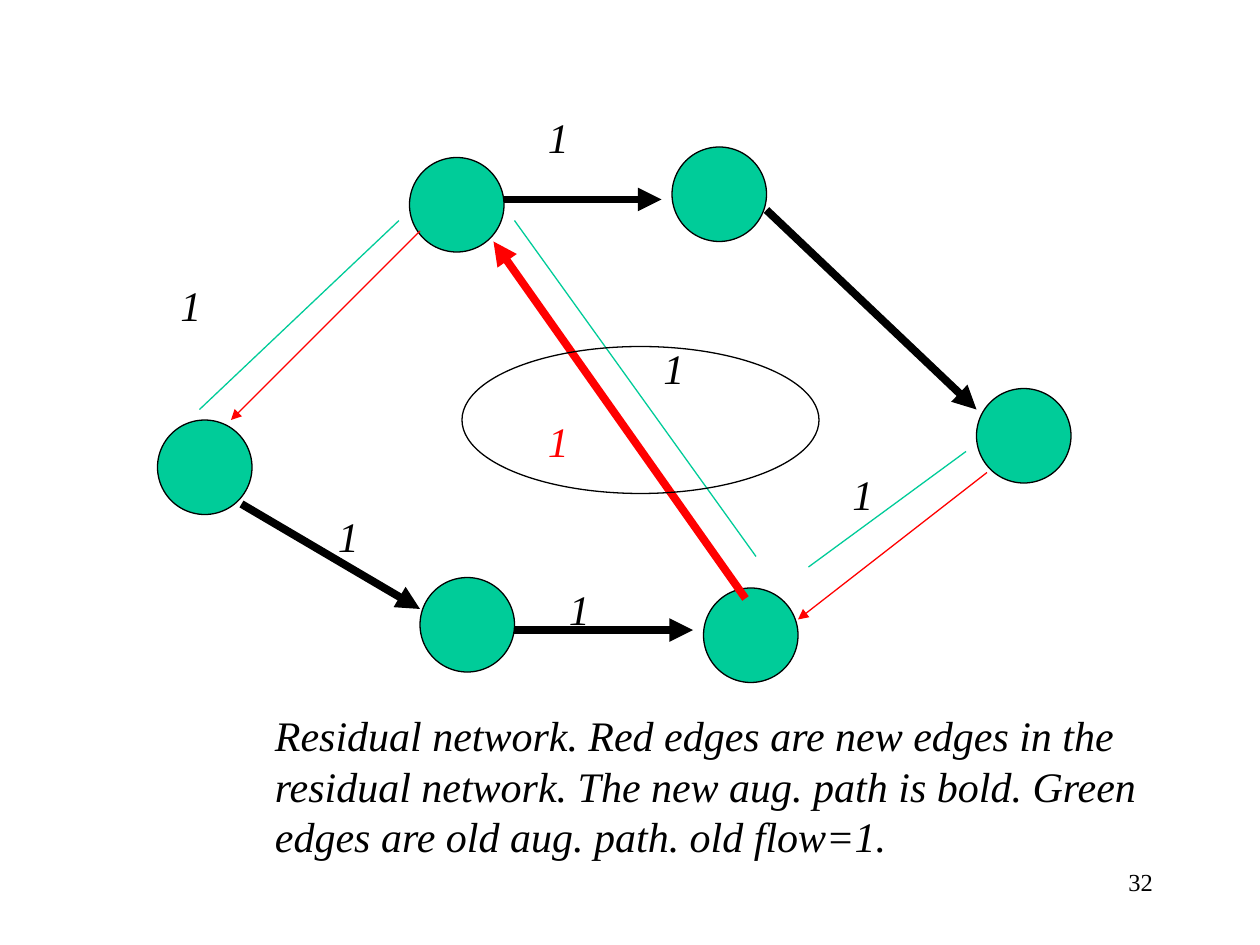
from lxml.etree import SubElement
from pptx import Presentation
from pptx.dml.color import RGBColor
from pptx.enum.shapes import MSO_CONNECTOR, MSO_SHAPE
from pptx.enum.text import MSO_AUTO_SIZE, PP_ALIGN
from pptx.oxml.ns import qn
from pptx.util import Emu, Pt

PX = 9525
BLACK, RED, GREEN = "000000", "FF0000", "00CC99"
FONT = "Times New Roman"
THIN, BOLD = 1, 6
NODE_SIZE = 72

NODES = [(0, 240), (200, 360), (192, 40), (624, 216), (416, 368), (392, 32)]
# start, end, colour, width, has arrowhead
EDGES = [
    ((64, 304), (200, 384), BLACK, BOLD, True),
    ((264, 72), (384, 72), BLACK, BOLD, True),
    ((272, 400), (408, 400), BLACK, BOLD, True),
    ((464, 80), (624, 232), BLACK, BOLD, True),
    ((200, 96), (56, 240), RED, THIN, True),
    ((448, 376), (256, 104), RED, BOLD, True),
    ((632, 280), (488, 392), RED, THIN, True),
    ((32, 232), (184, 88), GREEN, THIN, False),
    ((272, 88), (456, 344), GREEN, THIN, False),
    ((496, 352), (616, 264), GREEN, THIN, False),
]
# left, top, width, colour
CAPACITIES = [
    (8, 128, 56, BLACK),
    (376, 176, 56, BLACK),
    (520, 272, 64, BLACK),
    (128, 304, 40, BLACK),
    (304, 360, 48, BLACK),
    (288, 232, 64, RED),
    (288, 0, 80, BLACK),
]
CAPTION = (
    "Residual network. Red edges are new edges in the residual network. "
    "The new aug. path is bold. Green edges are old aug. path. old flow=1."
)


def px(length):
    return Emu(length * PX)


def color(hex_string):
    return RGBColor.from_string(hex_string)


def add_ellipse(slide, left, top, width, height, fill=None):
    shape = slide.shapes.add_shape(
        MSO_SHAPE.OVAL, px(left), px(top), px(width), px(height))
    shape.shadow.inherit = False
    if fill:
        shape.fill.solid()
        shape.fill.fore_color.rgb = color(fill)
    else:
        shape.fill.background()
    shape.line.color.rgb = color(BLACK)
    shape.line.width = px(THIN)


def add_edge(slide, start, end, line_color, width, arrow):
    connector = slide.shapes.add_connector(
        MSO_CONNECTOR.STRAIGHT, *(px(value) for value in start + end))
    connector.line.color.rgb = color(line_color)
    connector.line.width = px(width)
    if arrow:
        SubElement(connector.line._get_or_add_ln(), qn("a:tailEnd"), type="triangle")
    SubElement(connector._element.spPr, qn("a:effectLst"))


def add_text(slide, box, text, size=24, italic=True, text_color=BLACK,
             alignment=PP_ALIGN.LEFT, auto_size=MSO_AUTO_SIZE.SHAPE_TO_FIT_TEXT):
    frame = slide.shapes.add_textbox(*(px(value) for value in box)).text_frame
    frame.word_wrap = True
    frame.auto_size = auto_size
    paragraph = frame.paragraphs[0]
    paragraph.alignment = alignment
    run = paragraph.add_run()
    run.text = text
    run.font.name = FONT
    run.font.size = Pt(size)
    run.font.italic = italic
    run.font.color.rgb = color(text_color)


def add_network(slide, left, top):
    """Place the graph with its edges, capacities and highlighted region."""
    for x, y in NODES:
        add_ellipse(slide, left + x, top + y, NODE_SIZE, NODE_SIZE, GREEN)
    for (x1, y1), (x2, y2), line_color, width, arrow in EDGES:
        add_edge(slide, (left + x1, top + y1), (left + x2, top + y2),
                 line_color, width, arrow)
    for x, y, width, text_color in CAPACITIES:
        add_text(slide, (left + x, top + y, width, 48), "1", text_color=text_color)
    add_ellipse(slide, left + 232, top + 184, 272, 112)


def add_slide_number(slide, box, number):
    add_text(slide, box, number, size=14, italic=False,
             alignment=PP_ALIGN.RIGHT, auto_size=MSO_AUTO_SIZE.NONE)


def main():
    presentation = Presentation()
    presentation.slide_width = px(960)
    presentation.slide_height = px(720)
    slide = presentation.slides.add_slide(presentation.slide_layouts[6])
    add_network(slide, 120, 80)
    add_text(slide, (200, 536, 704, 125), CAPTION)
    add_slide_number(slide, (688, 656, 200, 48), "32")
    presentation.save("out.pptx")


if __name__ == "__main__":
    main()
